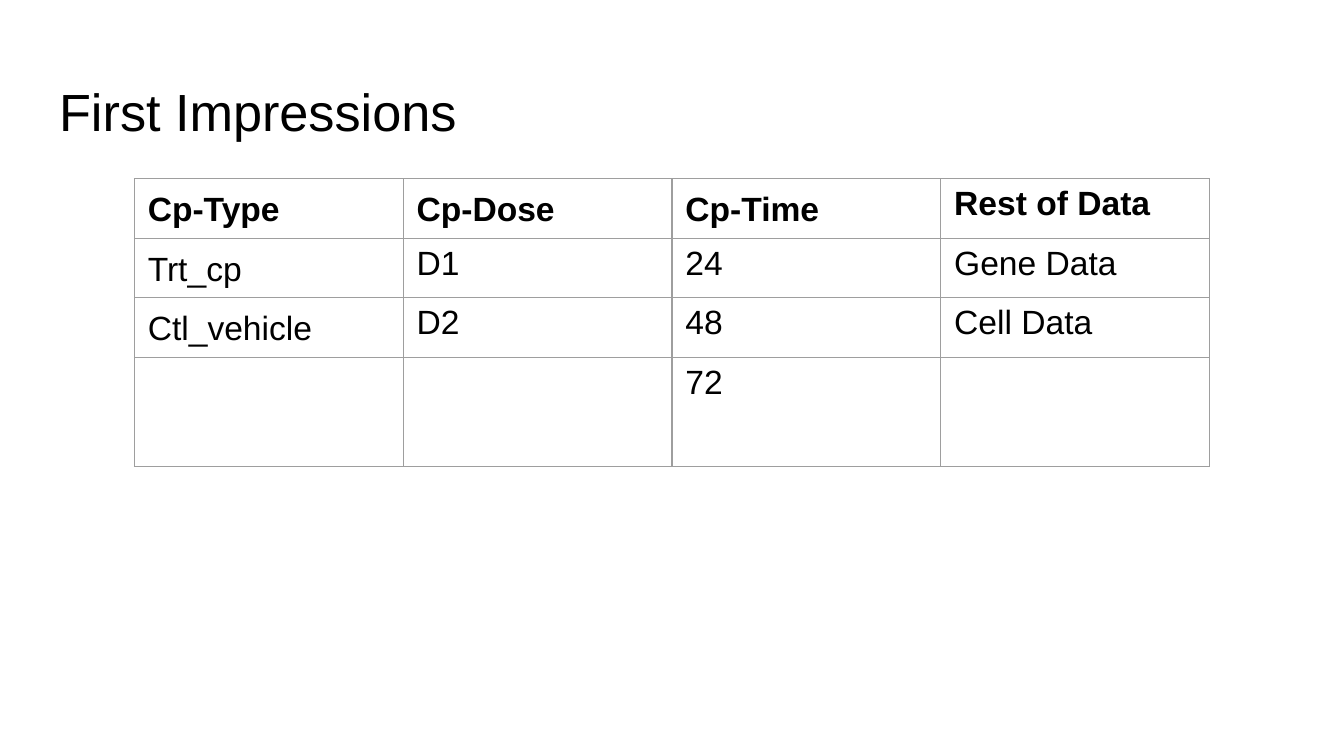
"""Build the First Impressions slide with its table of data columns."""
from lxml import etree
from pptx import Presentation
from pptx import util as u
from pptx.dml.color import RGBColor
from pptx.enum import text
from pptx.oxml import ns

TITLE = "First Impressions"
ROWS = [
    ("Cp-Type", "Cp-Dose", "Cp-Time", "Rest of Data"),
    ("Trt_cp", "D1", "24", "Gene Data"),
    ("Ctl_vehicle", "D2", "48", "Cell Data"),
    ("", "", "72", ""),
]
ROW_POINTS = (31.9, 31.9, 31.9, 58.6)
SLIDE_WIDTH = 10
COLUMN_WIDTH = 2
SPACED_CELLS = {(0, 0), (0, 1), (0, 2), (1, 0), (2, 0)}
SPACED = {"line_spacing": 1.15, "space_after": u.Pt(16)}
TITLE_FONT = {"name": "Arial", "size": u.Pt(28), "bold": False}
CELL_FONT = {"name": "Arial", "size": u.Pt(18)}
TITLE_FRAME = {
    "margin_left": u.Inches(0.1), "margin_right": u.Inches(0.1),
    "margin_top": u.Inches(0.1), "margin_bottom": u.Inches(0.1),
    "vertical_anchor": text.MSO_ANCHOR.TOP, "word_wrap": True,
    "auto_size": text.MSO_AUTO_SIZE.NONE,
}
BLACK, GRAY = "000000", "9E9E9E"


def apply(target, values):
    for name, value in values.items():
        setattr(target, name, value)


def set_color(color_format, color):
    color_format.rgb = RGBColor.from_string(color)


def add_borders(cell, color, width):
    properties = cell._tc.get_or_add_tcPr()
    for side in ("a:lnL", "a:lnR", "a:lnT", "a:lnB"):
        line = etree.SubElement(properties, ns.qn(side), w=str(u.Pt(width)))
        fill = etree.SubElement(line, ns.qn("a:solidFill"))
        etree.SubElement(fill, ns.qn("a:srgbClr"), val=color)


def add_title(slide):
    title = slide.shapes.title
    apply(title, {"left": u.Inches(0.34), "top": u.Inches(0.49),
                  "width": u.Inches(9.32), "height": u.Inches(0.63)})
    apply(title.text_frame, TITLE_FRAME)
    title.text_frame.text = TITLE
    paragraph = title.text_frame.paragraphs[0]
    paragraph.alignment = text.PP_ALIGN.LEFT
    apply(paragraph.runs[0].font, TITLE_FONT)
    set_color(paragraph.runs[0].font.color, BLACK)


def add_data_table(slide):
    columns = len(ROWS[0])
    table = slide.shapes.add_table(
        len(ROWS), columns, u.Inches(1), u.Inches(1.33),
        u.Inches(COLUMN_WIDTH * columns), u.Pt(sum(ROW_POINTS))).table
    apply(table, {"first_row": False, "horz_banding": False})
    for row, height in zip(table.rows, ROW_POINTS):
        row.height = u.Pt(height)
    for row_index, row in enumerate(ROWS):
        for column_index, content in enumerate(row):
            cell = table.cell(row_index, column_index)
            add_borders(cell, GRAY, 0.75)
            cell.fill.background()
            paragraph = cell.text_frame.paragraphs[0]
            if (row_index, column_index) in SPACED_CELLS:
                apply(paragraph, SPACED)
            if content:
                run = paragraph.add_run()
                run.text = content
                apply(run.font, {**CELL_FONT, "bold": row_index == 0})
                set_color(run.font.color, BLACK)


def main():
    presentation = Presentation()
    apply(presentation, {"slide_width": u.Inches(SLIDE_WIDTH),
                         "slide_height": u.Inches(SLIDE_WIDTH * 9 / 16)})
    slide = presentation.slides.add_slide(presentation.slide_layouts[5])
    add_title(slide)
    add_data_table(slide)
    presentation.save("out.pptx")


if __name__ == "__main__":
    main()
